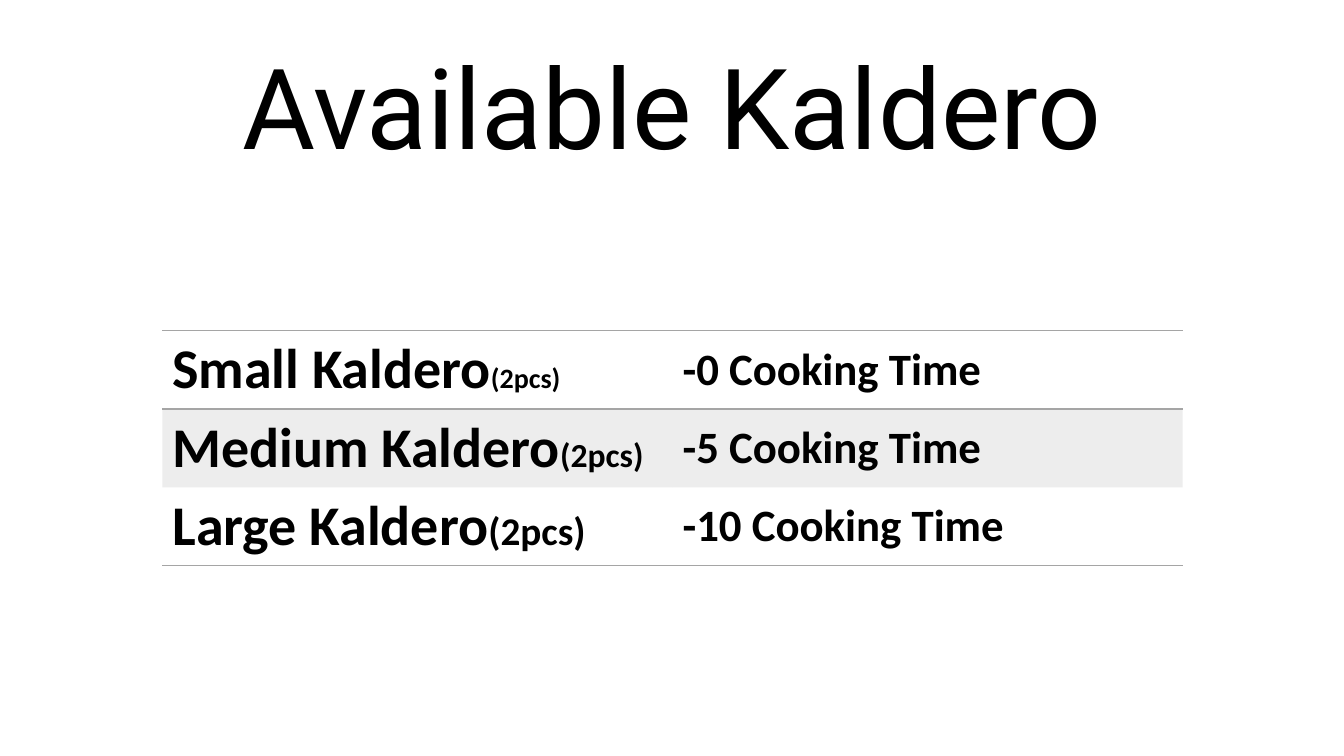
from lxml.etree import SubElement
from pptx import Presentation
from pptx.dml.color import RGBColor
from pptx.enum.text import MSO_ANCHOR as Anchor, PP_ALIGN as Align
from pptx.oxml.ns import qn
from pptx.util import Inches, Pt

KALDEROS = [
    ("Small Kaldero", 20, "-0 Cooking Time"),
    ("Medium Kaldero", 24, "-5 Cooking Time"),
    ("Large Kaldero", 28, "-10 Cooking Time"),
]


def color(value):
    """Turn a hex string into a colour."""
    return RGBColor.from_string(value)


class SlideBuilder:
    """Hold the style and the current slide."""

    BLACK, GRAY = "000000", "A5A5A5"
    TITLE_FONT, BODY_FONT = "Roboto", "Calibri"

    def __init__(self, presentation):
        """Add a title-only slide."""
        self.slide = presentation.slides.add_slide(presentation.slide_layouts[5])

    def run(self, paragraph, text, **values):
        """Add a run with the given font values."""
        run = paragraph.add_run()
        run.text = text
        for name, value in values.items():
            setattr(run.font, name, value)
        run.font.color.rgb = color(self.BLACK)

    def title(self, text, left, top, width, height):
        """Place and fill the title placeholder."""
        shape = self.slide.shapes.title
        box = {"left": left, "top": top, "width": width, "height": height}
        for name, value in box.items():
            setattr(shape, name, Inches(value))
        shape.text_frame.vertical_anchor = Anchor.MIDDLE
        paragraph = shape.text_frame.paragraphs[0]
        paragraph.alignment, paragraph.line_spacing = Align.CENTER, 0.9
        self.run(paragraph, text, size=Pt(80), name=self.TITLE_FONT, bold=False)

    def borders(self, cell, visible):
        """Draw the visible sides of a cell and clear the others."""
        properties = cell._tc.get_or_add_tcPr()
        for side in "LRTB":
            line = SubElement(properties, qn(f"a:ln{side}"), w=str(Pt(1)))
            if side in visible:
                fill = SubElement(line, qn("a:solidFill"))
                SubElement(fill, qn("a:srgbClr"), val=self.GRAY)
            else:
                SubElement(line, qn("a:noFill"))

    def shade(self, cell, opacity):
        """Fill a cell with see-through gray."""
        cell.fill.solid()
        cell.fill.fore_color.rgb = color(self.GRAY)
        tint = cell._tc.tcPr.find(f"{qn('a:solidFill')}/{qn('a:srgbClr')}")
        SubElement(tint, qn("a:alpha"), val=str(opacity * 1000))

    def table(self, kalderos, left, top, width, row_height):
        """Add one row for each kaldero, with its cooking time."""
        count = len(kalderos)
        box = [Inches(value) for value in (left, top, width, row_height * count)]
        table = self.slide.shapes.add_table(count, 2, *box).table
        table.first_row = table.horz_banding = False
        style = {"name": self.BODY_FONT, "bold": True}
        for index, (kaldero, note_size, time) in enumerate(kalderos):
            name_cell, time_cell = table.rows[index].cells
            paragraph = name_cell.text_frame.paragraphs[0]
            self.run(paragraph, kaldero, size=Pt(40), **style)
            self.run(paragraph, "(2pcs)", size=Pt(note_size), **style)
            time_cell.vertical_anchor = Anchor.MIDDLE
            self.run(time_cell.text_frame.paragraphs[0], time, size=Pt(32), **style)
            visible = {0: "TB", 1: "T", count - 1: "B"}.get(index, "")
            for cell in (name_cell, time_cell):
                self.borders(cell, visible)
                if index % 2:
                    self.shade(cell, 20)
                else:
                    cell.fill.background()


presentation = Presentation()
presentation.slide_width, presentation.slide_height = Inches(13.33), Inches(7.5)
builder = SlideBuilder(presentation)
builder.title("Available Kaldero", 0.92, 0.4, 11.5, 1.45)
builder.table(KALDEROS, 1.61, 3.28, 10.12, 0.77)
presentation.save("out.pptx")
